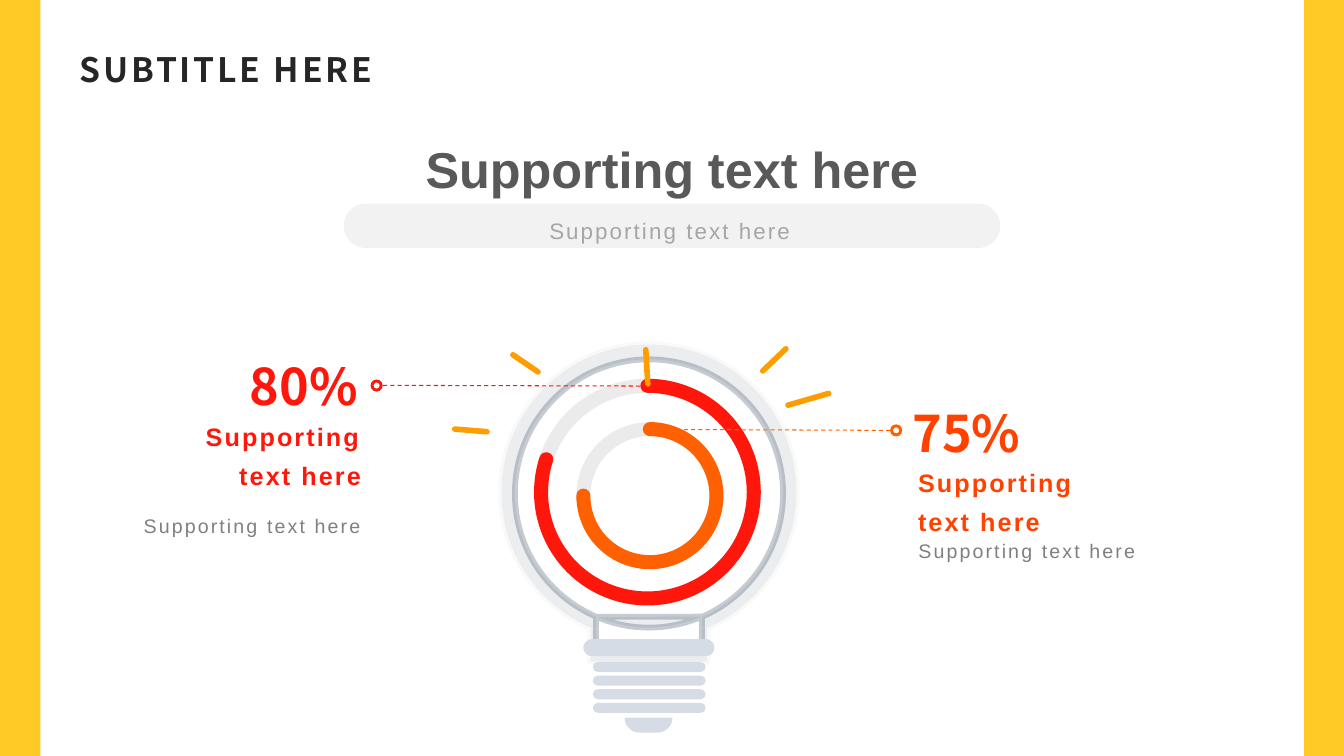
import math
from pptx import Presentation, util as u
from pptx.dml import color
from pptx.enum import dml, shapes, text
from pptx.oxml import parse_xml
from pptx.oxml.ns import qn, nsdecls

COLS, ROWS = 133.33, 75
CELL = u.Inches(7.5) / ROWS
SIDE = 4

THEME = {
    "frame": "FFC926", "pill": "F2F2F2", "track": "D9D9D9", "ray": "FF9C00",
    "glass": "FFFFFF", "outline": "44546A", "base": "D6DCE5",
    "red": "FF170C", "orange": "FF6000", "label": "FF4200",
    "ring_width": 10, "ray_width": 4, "lead_width": 0.75, "glass_width": 4.13,
}
ARIAL, NOTO = "Arial", "Noto Sans CJK SC"
STYLES = {
    "subtitle": dict(size=24, name=NOTO, color="262626", bold=True, track=2),
    "headline": dict(size=36, name=ARIAL, color="595959", bold=True),
    "strapline": dict(size=16, name=ARIAL, color="A6A6A6", track=1.5, spacing=1.3),
    "percent": dict(size=36, name=NOTO, bold=True),
    "heading": dict(size=18, name=ARIAL, bold=True, track=1.5, spacing=1.3, anchor="MIDDLE"),
    "detail": dict(size=14, name=ARIAL, color="808080", track=1.5, spacing=1.3),
}
INSETS = {"subtitle": (1.13, .45, .8, .4), "strapline": (0,) * 4, "percent": (.7,) * 4}
USUAL_INSETS = (1, .5, 1, .5)

TITLES = [
    ("subtitle", "SUBTITLE HERE", (6.8, 4.45, 119.7, 9.4), "LEFT"),
    ("headline", "Supporting text here", (30.25, 13.2, 72.8, 7.1), "CENTER"),
    ("strapline", "Supporting text here", (34.65, 20.7, 63.6, 3.5), "CENTER"),
]
CALLOUTS = [
    dict(percent=("80%", (19.48, 34.5, 16.7, 7.4)),
         heading=("Supporting text here", (16.4, 40.32, 20.4, 8.9)),
         detail=("Supporting text here", (12.35, 49.8, 24.4, 4.1)),
         align="RIGHT", ink="red", accent="red", share=.8,
         ring=(53.66, 38.27, 21.1), marker=(36.75, 37.65), lead=(64.2, 38.3, 37.9, 38.23)),
    dict(percent=("75%", (89.8, 39.2, 16.7, 7.4)),
         heading=("Supporting text here", (90.07, 44.9, 19.7, 8.9)),
         detail=("Supporting text here", (90.1, 52.3, 25.2, 4.1)),
         align="LEFT", ink="label", accent="orange", share=.75,
         ring=(57.86, 42.57, 13.2), marker=(88.28, 42.1), lead=(88.3, 42.7, 64.5, 42.6)),
]
MARKER = 1.2
RAYS = [(64.05, 34.7, 64.25, 38.1), (77.95, 34.6, 75.65, 36.8), (48.3, 42.83, 45.1, 42.57),
        (50.87, 35.2, 53.37, 36.9), (82.2, 39.03, 78.15, 40.2)]
AXIS = 64.37
BULB = dict(middle=48.95, radius=13.3, neck=5.25, top=61.2, bottom=64.25)
COLLAR = (57.86, 63.4, 13, 1.7)
THREADS = [(58.8, 65.67 + 1.35 * row, 11.2, 1) for row in range(4)]
FOOT = dict(left=61.95, right=66.7, top=71.2, radius=1.47)

deck = Presentation()
deck.slide_width, deck.slide_height = u.Inches(13.33), u.Inches(7.5)
slide = deck.slides.add_slide(deck.slide_layouts[6])
parts = slide.shapes


def cells(*lengths):
    return [u.Emu(round(length * CELL)) for length in lengths]


def paint(target, code, alpha=None):
    target.solid()
    target.fore_color.rgb = color.RGBColor.from_string(THEME[code])
    if alpha:
        parent = target.fore_color._xFill
        parent[0].append(parse_xml(f'<a:alpha {nsdecls("a")} val="{alpha * 1000}"/>'))


def stroke(part, code, width, alpha=None, dash=None, rounded=False):
    paint(part.line.fill, code, alpha)
    part.line.width = u.Pt(width)
    if dash:
        part.line.dash_style = dash
    if rounded:
        part.line._ln.set("cap", "rnd")


def dress(part, fill=None):
    part.shadow.inherit = False
    if fill:
        paint(part.fill, fill)
    else:
        part.fill.background()
    part.line.fill.background()
    return part


def preset(kind, box, fill=None):
    return dress(parts.add_shape(getattr(shapes.MSO_SHAPE, kind), *cells(*box)), fill)


def line(ends, code, width, **look):
    part = parts.add_connector(shapes.MSO_CONNECTOR.STRAIGHT, *cells(*ends))
    part._element.spPr.append(parse_xml(f'<a:effectLst {nsdecls("a")}/>'))
    stroke(part, code, width, **look)


def write(style, words, box, align, ink=None):
    look = STYLES[style]
    frame = parts.add_textbox(*cells(*box)).text_frame
    insets = cells(*INSETS.get(style, USUAL_INSETS))
    layout = dict(zip(("margin_left", "margin_top", "margin_right", "margin_bottom"), insets))
    layout.update(word_wrap=True,
                  vertical_anchor=getattr(text.MSO_ANCHOR, look.get("anchor", "TOP")),
                  auto_size=text.MSO_AUTO_SIZE.NONE if style == "subtitle"
                  else text.MSO_AUTO_SIZE.SHAPE_TO_FIT_TEXT)
    for key, value in layout.items():
        setattr(frame, key, value)
    paragraph = frame.paragraphs[0]
    paragraph.alignment = getattr(text.PP_ALIGN, align)
    paragraph.line_spacing = look.get("spacing")
    run = paragraph.add_run()
    run.text = words
    for key, value in dict(size=u.Pt(look["size"]), name=look["name"],
                           bold=look.get("bold", False)).items():
        setattr(run.font, key, value)
    run.font.color.rgb = color.RGBColor.from_string(look.get("color") or THEME[ink])
    properties = run._r.get_or_add_rPr()
    properties.set("spc", str(round(look.get("track", 0) * 100)))
    east = properties.makeelement(qn("a:ea"), {"typeface": look["name"]})
    properties.find(qn("a:latin")).addnext(east)


def straight(x, y):
    return [(x, y)] * 3


def bend(x, y, radius, start, end):
    a, b = math.radians(start), math.radians(end)
    pull = 4 / 3 * math.tan((b - a) / 4)
    unit = [(math.cos(a) - pull * math.sin(a), math.sin(a) + pull * math.cos(a)),
            (math.cos(b) + pull * math.sin(b), math.sin(b) - pull * math.cos(b)),
            (math.cos(b), math.sin(b))]
    return [(x + radius * across, y + radius * down) for across, down in unit]


def capsule(left, top, width, height):
    r = height / 2
    near, far, middle = left + r, left + width - r, top + r
    return ([(near, top)] + straight(far, top)
            + bend(far, middle, r, -90, 0) + bend(far, middle, r, 0, 90)
            + straight(near, top + height)
            + bend(near, middle, r, 90, 180) + bend(near, middle, r, 180, 270))


def outline(contours, fill):
    builder = parts.build_freeform(*cells(*contours[0][0]))
    for index, points in enumerate(contours):
        if index:
            builder.move_to(*cells(*points[0]))
        builder.add_line_segments([cells(*point) for point in points[1:]], close=True)
    part = builder.convert_to_shape()
    corners = list(part._element.iter(qn("a:lnTo")))
    for first in range(0, len(corners), 3):
        curve = parse_xml(f'<a:cubicBezTo {nsdecls("a")}/>')
        corners[first].addprevious(curve)
        for corner in corners[first:first + 3]:
            curve.append(corner[0])
            corner.getparent().remove(corner)
    return dress(part, fill)


for left in (0, COLS - SIDE):
    preset("RECTANGLE", (left, 0, SIDE, ROWS), "frame")
preset("ROUNDED_RECTANGLE", (34.1, 20.2, 65.1, 4.4), "pill").adjustments[0] = .5
for title in TITLES:
    write(*title)

lean = math.degrees(math.atan2(BULB["top"] - BULB["middle"], BULB["neck"]))
globe = (AXIS, BULB["middle"], BULB["radius"])
glass = [(AXIS + BULB["radius"], BULB["middle"])]
for start, end in ((0, -90), (-90, -180), (-180, -360 + lean)):
    glass += bend(*globe, start, end)
for side, level in ((-1, "top"), (-1, "bottom"), (1, "bottom"), (1, "top")):
    glass += straight(AXIS + side * BULB["neck"], BULB[level])
glass += bend(*globe, lean, 0)
bulb = outline([glass], "glass")
stroke(bulb, "outline", THEME["glass_width"], alpha=30)
bulb._element.spPr.find(qn("a:effectLst")).append(parse_xml(
    f'<a:outerShdw {nsdecls("a")} sx="110000" sy="110000" algn="ctr" rotWithShape="0">'
    f'<a:srgbClr val="{THEME["outline"]}"><a:alpha val="10000"/></a:srgbClr></a:outerShdw>'))

r, rim = FOOT["radius"], FOOT["top"]
foot = ([(FOOT["left"], rim)] + straight(FOOT["right"], rim)
        + bend(FOOT["right"] - r, rim, r, 0, 90) + straight(FOOT["left"] + r, rim + r)
        + bend(FOOT["left"] + r, rim, r, 90, 180))
outline([foot] + [capsule(*box) for box in THREADS + [COLLAR]], "base")

for callout in CALLOUTS:
    left, top, size = callout["ring"]
    stroke(preset("OVAL", (left, top, size, size)), "track", THEME["ring_width"], alpha=50)
    arc = preset("ARC", (left, top, size, size))
    arc.adjustments[0] = 162
    arc.adjustments[1] = (270 + 360 * callout["share"]) % 360 * .6
    stroke(arc, callout["accent"], THEME["ring_width"], rounded=True)

for ray in RAYS:
    line(ray, "ray", THEME["ray_width"], rounded=True)

for callout in CALLOUTS:
    for style in ("percent", "detail", "heading"):
        write(style, *callout[style], callout["align"], callout["ink"])
    preset("DONUT", (*callout["marker"], MARKER, MARKER), callout["accent"])
    line(callout["lead"], callout["accent"], THEME["lead_width"], dash=dml.MSO_LINE.DASH)

deck.save("out.pptx")
